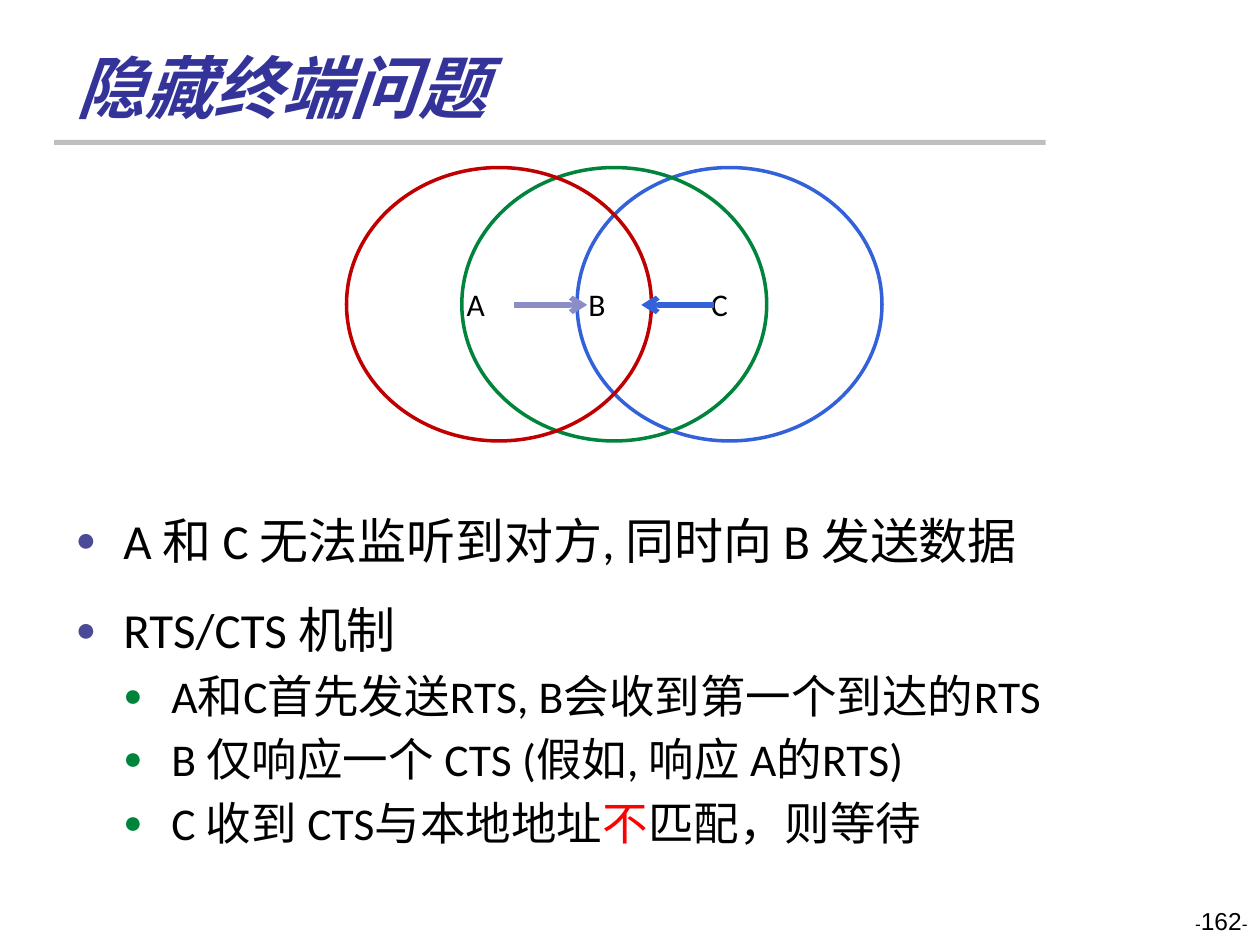
from lxml import etree
from pptx import Presentation
from pptx.dml.color import RGBColor
from pptx.enum.shapes import MSO_CONNECTOR, MSO_SHAPE
from pptx.enum.text import MSO_ANCHOR, MSO_AUTO_SIZE, PP_ALIGN
from pptx.oxml.ns import qn
from pptx.util import Inches, Pt

LEFT, RIGHT = PP_ALIGN.LEFT, PP_ALIGN.RIGHT
TOP, MIDDLE, BOTTOM = MSO_ANCHOR.TOP, MSO_ANCHOR.MIDDLE, MSO_ANCHOR.BOTTOM
NO_AUTOFIT = MSO_AUTO_SIZE.NONE
RECTANGLE, OVAL = MSO_SHAPE.RECTANGLE, MSO_SHAPE.OVAL
STRAIGHT = MSO_CONNECTOR.STRAIGHT

TITLE = "隐藏终端问题"
BLACK = "000000"
HIGHLIGHT = "FF0000"
BULLETS = [
    (0, 12, ["A 和 C 无法监听到对方, 同时向 B 发送数据"]),
    (0, 0, ["RTS/CTS 机制"]),
    (1, 0, ["A和C首先发送RTS, B会收到第一个到达的RTS"]),
    (1, 0, ["B 仅响应一个 CTS (假如, 响应 A的RTS)"]),
    (1, 0, ["C 收到 CTS与本地地址", "不", "匹配，则等待"]),
]
LEVEL_STYLES = [(28, "4A4A97"), (26, "00843C")]
INDENT = 0.38
PAGE_NUMBER = [("-", 10), ("162", 14), ("-", 10)]

RANGES = [("C", "3261DA", 0.71), ("B", "00843C", 0.65), ("A", "C00000", 0.6)]
RANGE_LEFT, RANGE_STEP, RANGE_TOP = 2.75, 0.915, 1.33
RANGE_WIDTH, RANGE_HEIGHT = 2.42, 2.17
ARROWS = [(5.67, 5.09, "3261DA"), (4.08, 4.66, "8C8CC7")]
ARROW_Y = 2.42


def color(hex_value):
    return RGBColor.from_string(hex_value)


def place(shape, left, top, width, height):
    shape.left, shape.top = Inches(left), Inches(top)
    shape.width, shape.height = Inches(width), Inches(height)


def style(font, name, size, hex_value):
    font.name = name
    font.size = Pt(size)
    font.color.rgb = color(hex_value)


def add_bullet(paragraph, level, hex_value):
    properties = paragraph._p.get_or_add_pPr()
    properties.set("marL", str(Inches(INDENT * (level + 1))))
    properties.set("indent", str(-Inches(INDENT)))
    bullet_color = etree.SubElement(properties, qn("a:buClr"))
    etree.SubElement(bullet_color, qn("a:srgbClr"), val=hex_value)
    etree.SubElement(properties, qn("a:buSzPct"), val="70000")
    etree.SubElement(properties, qn("a:buFont"), typeface="Arial")
    etree.SubElement(properties, qn("a:buChar"), char="●")


def add_title(slide):
    title = slide.shapes.title
    place(title, 0.51, 0.28, 8.25, 0.78)
    frame = title.text_frame
    frame.text = TITLE
    frame.auto_size = NO_AUTOFIT
    frame.vertical_anchor = BOTTOM
    paragraph = frame.paragraphs[0]
    paragraph.alignment = LEFT
    style(paragraph.font, "Noto Sans CJK SC", 39, "333399")
    paragraph.font.bold = paragraph.font.italic = True


def add_rule(slide):
    rule = slide.shapes.add_shape(
        RECTANGLE, Inches(0.43), Inches(1.11), Inches(7.87), Inches(0.04))
    rule.shadow.inherit = False
    rule.fill.solid()
    rule.fill.fore_color.rgb = color("BFBFBF")
    rule.line.fill.background()


def add_body(slide):
    body = slide.placeholders[1]
    place(body, 0.5, 4, 9.25, 3)
    frame = body.text_frame
    frame.auto_size = NO_AUTOFIT
    frame.vertical_anchor = TOP
    for index, (level, space_after, parts) in enumerate(BULLETS):
        paragraph = frame.paragraphs[0] if index == 0 else frame.add_paragraph()
        size, bullet_color = LEVEL_STYLES[level]
        paragraph.level = level
        add_bullet(paragraph, level, bullet_color)
        paragraph.space_before = Pt(size * 0.2 if index else 0)
        paragraph.space_after = Pt(space_after)
        style(paragraph.font, "Calibri", size, BLACK)
        for part in parts:
            run = paragraph.add_run()
            run.text = part
            if part == "不":
                run.font.color.rgb = color(HIGHLIGHT)


def add_ranges(slide):
    for index, (label, hex_value, margin) in enumerate(RANGES):
        left = RANGE_LEFT + RANGE_STEP * (len(RANGES) - 1 - index)
        circle = slide.shapes.add_shape(
            OVAL, Inches(left), Inches(RANGE_TOP),
            Inches(RANGE_WIDTH), Inches(RANGE_HEIGHT))
        circle.shadow.inherit = False
        circle.fill.background()
        circle.line.color.rgb = color(hex_value)
        circle.line.width = Pt(2)
        frame = circle.text_frame
        frame.text = label
        frame.vertical_anchor = MIDDLE
        frame.margin_left = Inches(margin)
        paragraph = frame.paragraphs[0]
        paragraph.alignment = LEFT
        style(paragraph.font, "Calibri", 18, BLACK)


def add_arrows(slide):
    for start, end, hex_value in ARROWS:
        arrow = slide.shapes.add_connector(
            STRAIGHT, Inches(start), Inches(ARROW_Y), Inches(end), Inches(ARROW_Y))
        arrow.line.color.rgb = color(hex_value)
        arrow.line.width = Pt(3)
        etree.SubElement(arrow.line._get_or_add_ln(), qn("a:tailEnd"), type="arrow")
        etree.SubElement(arrow._element.spPr, qn("a:effectLst"))


def add_page_number(slide):
    box = slide.shapes.add_textbox(
        Inches(7.67), Inches(7.14), Inches(2.33), Inches(0.5))
    box.text_frame.word_wrap = True
    paragraph = box.text_frame.paragraphs[0]
    paragraph.alignment = RIGHT
    for text, size in PAGE_NUMBER:
        run = paragraph.add_run()
        run.text = text
        style(run.font, "Arial", size, BLACK)


def main():
    presentation = Presentation()
    presentation.slide_width, presentation.slide_height = Inches(10), Inches(7.5)
    slide = presentation.slides.add_slide(presentation.slide_layouts[1])
    add_rule(slide)
    add_title(slide)
    add_body(slide)
    add_page_number(slide)
    add_ranges(slide)
    add_arrows(slide)
    presentation.save("out.pptx")


if __name__ == "__main__":
    main()
